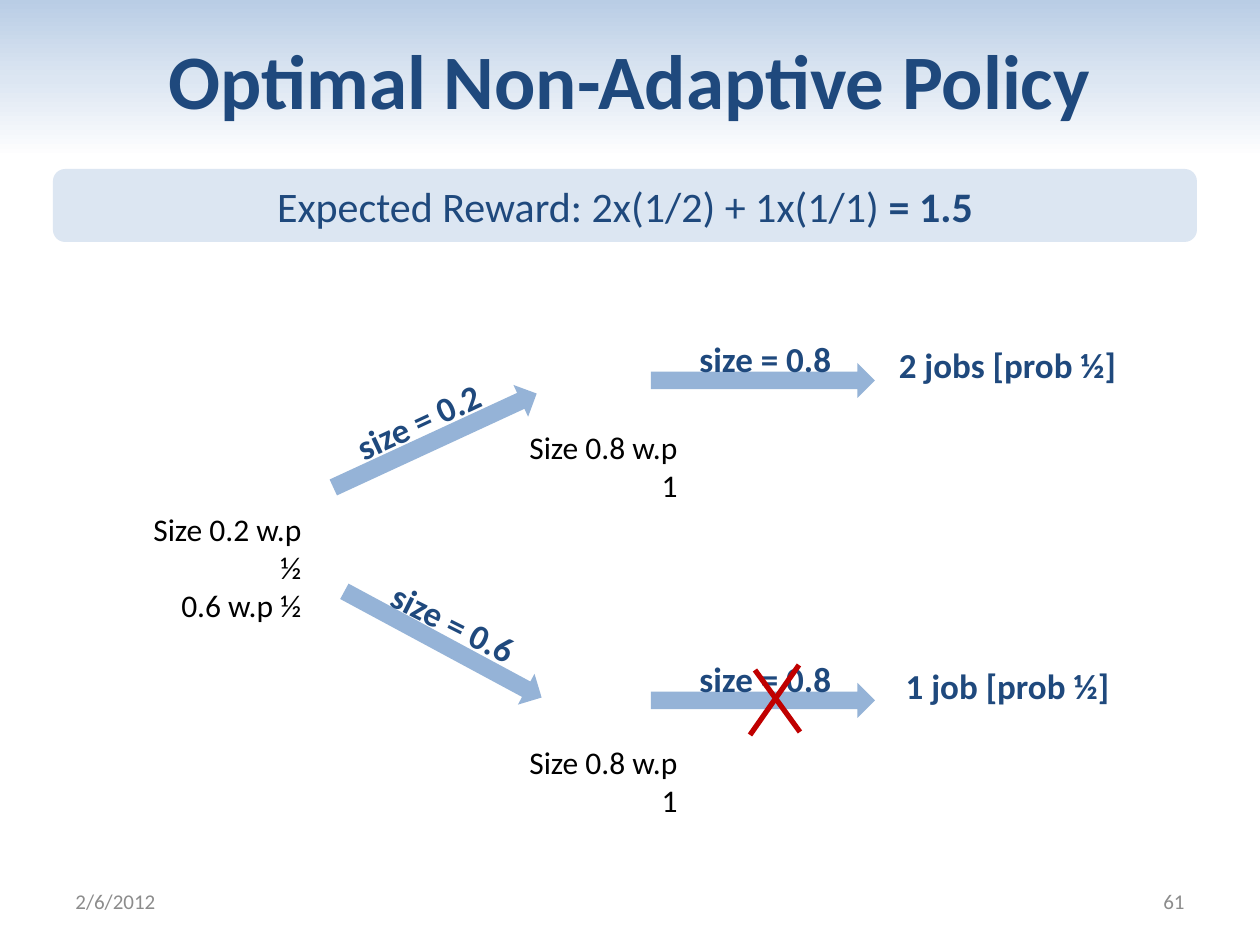
from copy import deepcopy
from lxml import etree
from pptx import Presentation
from pptx.dml.color import RGBColor
from pptx.enum.shapes import MSO_CONNECTOR, MSO_SHAPE
from pptx.enum.text import MSO_ANCHOR, PP_ALIGN
from pptx.oxml.ns import qn
from pptx.util import Pt

SCALE = 914400 / 126
RECT, ROUND, ARROW = MSO_SHAPE.RECTANGLE, MSO_SHAPE.ROUNDED_RECTANGLE, MSO_SHAPE.RIGHT_ARROW
LINE = MSO_CONNECTOR.STRAIGHT
TOP, MIDDLE = MSO_ANCHOR.TOP, MSO_ANCHOR.MIDDLE
LEFT, CENTER, RIGHT = PP_ALIGN.LEFT, PP_ALIGN.CENTER, PP_ALIGN.RIGHT
NAVY = RGBColor(0x1F, 0x49, 0x7D)
STEEL = RGBColor(0x95, 0xB3, 0xD7)
SKY = RGBColor(0xB9, 0xCD, 0xE5)
PALE = RGBColor(0xDC, 0xE6, 0xF2)
WHITE = RGBColor(0xFF, 0xFF, 0xFF)
BLACK = RGBColor(0, 0, 0)
GRAY = RGBColor(0x8C, 0x8C, 0x8C)
RED = RGBColor(0xC0, 0, 0)


def px(*nums):
    return [round(num * SCALE) for num in nums]


class Slide:
    """Holds the text style and the current slide, and draws each kind of element."""

    def __init__(self, deck):
        self.page = deck.slides.add_slide(deck.slide_layouts[6])
        self.shapes = self.page.shapes
        self.base = {"name": "Calibri", "size": 20, "bold": True, "color": NAVY}

    def label(self, shape, lines, align=CENTER, anchor=MIDDLE, wrap=True, **style):
        frame = shape.text_frame
        frame.word_wrap, frame.vertical_anchor = wrap, anchor
        for num, line in enumerate(lines):
            para = frame.add_paragraph() if num else frame.paragraphs[0]
            para.alignment = align
            for text, extra in line:
                run = para.add_run()
                run.text = text
                look = {**self.base, **style, **extra}
                run.font.color.rgb = look.pop("color")
                look["size"] = Pt(look["size"])
                for key, value in look.items():
                    setattr(run.font, key, value)

    def shape(self, kind, box, fill=None, turn=0):
        shape = self.shapes.add_shape(kind, *px(*box))
        shape.shadow.inherit = False
        shape.line.fill.background()
        shape.rotation = turn
        if fill is None:
            shape.fill.background()
        else:
            shape.fill.solid()
            shape.fill.fore_color.rgb = fill
        return shape

    def fade(self, shape, stops):
        shape.fill.gradient()
        shape.fill.gradient_angle = 270
        first = shape._element.spPr.find(".//" + qn("a:gs"))
        first.addnext(deepcopy(first))
        for stop, (place, color) in zip(shape.fill.gradient_stops, stops):
            stop.position = place
            stop.color.rgb = color

    def text(self, box, lines, turn=0, **style):
        shape = self.shapes.add_textbox(*px(*box))
        shape.rotation = turn
        self.label(shape, [[(line, {})] for line in lines], **style)

    def step(self, spot, turn, text, place, tilt):
        self.shape(ARROW, (*spot, 224, 35), STEEL, turn)
        self.text((*place, 159, 37), [text], tilt, align=LEFT, anchor=TOP, wrap=False)

    def job(self, box, lines):
        self.text(box, lines, align=RIGHT, anchor=TOP, wrap=False,
                  size=18, bold=False, color=BLACK)

    def line(self, ends):
        line = self.shapes.add_connector(LINE, *px(*ends))
        line.line.color.rgb = RED
        line.line.width = Pt(3)
        etree.SubElement(line._element.spPr, qn("a:effectLst"))


def main():
    deck = Presentation()
    deck.slide_width, deck.slide_height = px(1260, 945)
    slide = Slide(deck)

    title = slide.shape(RECT, (0, 0, 1260, 158))
    slide.fade(title, [(0, SKY), (0.5, PALE), (1, WHITE)])
    slide.label(title, [[("Optimal Non-Adaptive Policy", {})]], size=44)
    banner = slide.shape(ROUND, (53, 169, 1144, 73), PALE)
    slide.label(banner, [[("Expected Reward: 2x(1/2) + 1x(1/1) ", {"bold": False}),
                          ("= 1.5", {})]], size=24)

    for left, text, align in ((903, "61", RIGHT), (63, "2/6/2012", LEFT)):
        slide.text((left, 876, 294, 50), [text], align=align,
                   size=12, bold=False, color=GRAY)

    slide.job((113, 504, 201, 89), ["Size 0.2 w.p ½", "0.6 w.p ½"])
    slide.step((323, 423), 335.2, "size = 0.2", (336, 394), 335.1)
    slide.step((331, 627), 28.3, "size = 0.6", (379, 597), 26.7)

    rows = ((363, 422, "2 jobs [prob ½]"), (683, 737, "1 job [prob ½]"))
    for top, low, text in rows:
        slide.job((494, low, 196, 50), ["Size 0.8 w.p 1"])
        slide.step((651, top), 0, "size = 0.8", (687, top - 32), 0)
        result = slide.shape(ROUND, (829, top - 53, 357, 110))
        slide.label(result, [[(text, {})]])

    for ends in ((750, 735, 799, 665), (800, 732, 755, 670)):
        slide.line(ends)
    deck.save("out.pptx")


if __name__ == "__main__":
    main()
